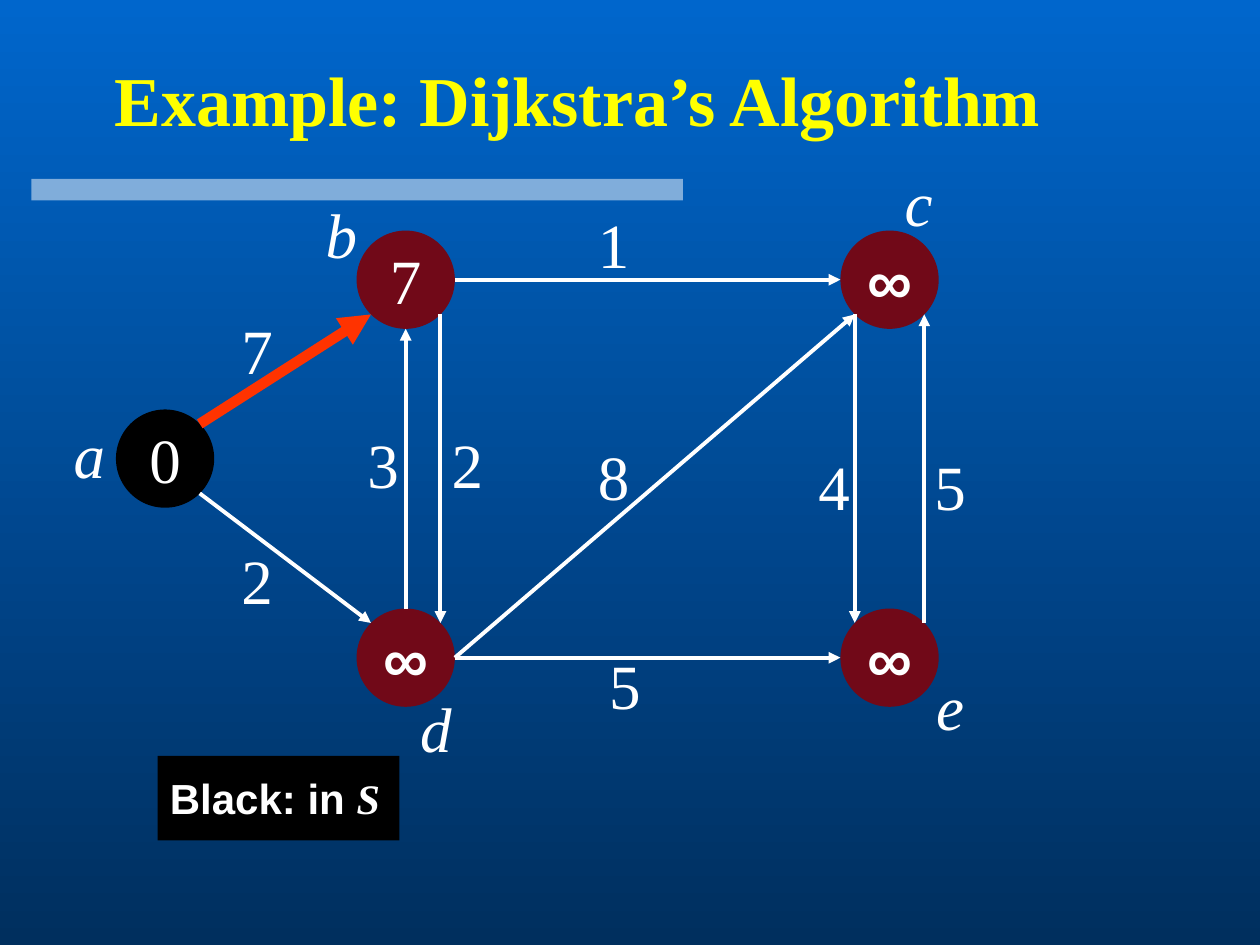
from dataclasses import dataclass
from math import cos, radians, sin

from lxml import etree
from pptx import Presentation
from pptx.dml.color import RGBColor
from pptx.enum.shapes import MSO_CONNECTOR, MSO_SHAPE
from pptx.enum.text import MSO_ANCHOR, PP_ALIGN
from pptx.oxml import parse_xml
from pptx.oxml.ns import nsdecls, qn
from pptx.util import Inches, Pt

SKY = RGBColor(0x00, 0x66, 0xCC)
NAVY = RGBColor(0x00, 0x2F, 0x5E)
WHITE = RGBColor(0xFF, 0xFF, 0xFF)
BLACK = RGBColor(0x00, 0x00, 0x00)
YELLOW = RGBColor(0xFF, 0xFF, 0x00)
MAROON = RGBColor(0x71, 0x09, 0x18)
RED = RGBColor(0xFF, 0x33, 0x00)
SERIF, SANS = "Times New Roman", "Arial"

DIAMETER = 0.78
ANGLES = {"E": 0, "SE": 45, "S": 90, "SW": 135, "W": 180, "NW": 225, "N": 270, "NE": 315}


@dataclass
class Node:
    x: float
    y: float
    value: str
    name_x: float
    name_y: float
    fill: RGBColor = MAROON

    def port(self, side: str) -> tuple[float, float]:
        """Point on the circle in a compass direction."""
        angle, radius = radians(ANGLES[side]), DIAMETER / 2
        return self.x + radius * (1 + cos(angle)), self.y + radius * (1 + sin(angle))


@dataclass
class Edge:
    start: str
    start_side: str
    end: str
    end_side: str
    weight: str
    weight_x: float
    weight_y: float
    color: RGBColor = WHITE
    width: float = 2.25


NODES = {
    "a": Node(0.92, 3.25, "0", 0.42, 3.25, BLACK),
    "d": Node(2.83, 4.83, "∞", 3.17, 5.42),
    "c": Node(6.67, 1.83, "∞", 7, 1.25),
    "b": Node(2.83, 1.83, "7", 2.42, 1.5),
    "e": Node(6.67, 4.83, "∞", 7.25, 5.25),
}
EDGES = [
    Edge("a", "NE", "b", "SW", "7", 1.75, 2.42, RED, 6),
    Edge("a", "SE", "d", "NW", "2", 1.75, 4.25),
    Edge("b", "SE", "d", "NE", "2", 3.42, 3.33),
    Edge("d", "N", "b", "S", "3", 2.75, 3.33),
    Edge("b", "E", "c", "W", "1", 4.58, 1.58),
    Edge("d", "E", "e", "W", "5", 4.67, 5.08),
    Edge("c", "SW", "e", "NW", "4", 6.33, 3.5),
    Edge("e", "NE", "c", "SE", "5", 7.25, 3.5),
    Edge("d", "E", "c", "SW", "8", 4.58, 3.42),
]


def add_text(sp, text: str, *, size=36, font=SERIF, color=WHITE, bold=False,
             italic=False, align=PP_ALIGN.CENTER, anchor=MSO_ANCHOR.MIDDLE, wrap=True):
    """Append a run to the first paragraph of a shape."""
    tf = sp.text_frame
    tf.word_wrap, tf.vertical_anchor = wrap, anchor
    p = tf.paragraphs[0]
    p.alignment = align
    r = p.add_run()
    r.text = text
    r.font.name, r.font.size = font, Pt(size)
    r.font.bold, r.font.italic = bold, italic
    r.font.color.rgb = color


def add_box(s, kind, x: float, y: float, w: float, h: float, fill: RGBColor):
    sp = s.shapes.add_shape(kind, Inches(x), Inches(y), Inches(w), Inches(h))
    sp.shadow.inherit = False
    sp.fill.solid()
    sp.fill.fore_color.rgb = fill
    sp.line.fill.background()
    return sp


def add_label(s, text: str, x: float, y: float, italic: bool = False) -> None:
    sp = s.shapes.add_textbox(Inches(x), Inches(y), Inches(0.58), Inches(0.7))
    add_text(sp, text, italic=italic, anchor=MSO_ANCHOR.TOP)


def add_node(s, node: Node) -> None:
    sp = add_box(s, MSO_SHAPE.OVAL, node.x, node.y, DIAMETER, DIAMETER, node.fill)
    infinite = node.value == "∞"
    add_text(sp, node.value, font=SANS if infinite else SERIF, bold=infinite, wrap=False)


def add_edge(s, edge: Edge) -> None:
    start = NODES[edge.start].port(edge.start_side)
    end = NODES[edge.end].port(edge.end_side)
    line = s.shapes.add_connector(MSO_CONNECTOR.STRAIGHT, *map(Inches, start + end))
    line.line.color.rgb = edge.color
    line.line.width = Pt(edge.width)
    ln = line.line._get_or_add_ln()
    ln.append(parse_xml(f'<a:tailEnd {nsdecls("a")} type="triangle"/>'))
    etree.SubElement(line._element.spPr, qn("a:effectLst"))


def main() -> None:
    prs = Presentation()
    prs.slide_width, prs.slide_height = Inches(10), Inches(7.5)
    s = prs.slides.add_slide(prs.slide_layouts[6])

    # Background, from light at the top to dark at the bottom
    bg = s.background.fill
    bg.gradient()
    bg.gradient_angle = 270
    for stop, color, position in zip(bg.gradient_stops, (SKY, NAVY), (0, 1)):
        stop.color.rgb, stop.position = color, position

    # Half-transparent rule and title
    rule = add_box(s, MSO_SHAPE.RECTANGLE, 0.25, 1.42, 5.17, 0.17, WHITE)
    rgb = rule._element.spPr.find(qn("a:solidFill")).find(qn("a:srgbClr"))
    etree.SubElement(rgb, qn("a:alpha")).set("val", "50000")
    title = s.shapes.add_textbox(Inches(0.42), Inches(0.32), Inches(8.33), Inches(0.93))
    add_text(title, "Example: Dijkstra’s Algorithm", size=40, color=YELLOW, bold=True)

    # Graph
    for node in NODES.values():
        add_node(s, node)
    for edge in EDGES:
        add_edge(s, edge)
    for edge in EDGES:
        add_label(s, edge.weight, edge.weight_x, edge.weight_y)
    for name, node in NODES.items():
        add_label(s, name, node.name_x, node.name_y, italic=True)

    # Legend
    legend = add_box(s, MSO_SHAPE.RECTANGLE, 1.25, 6, 1.92, 0.67, BLACK)
    style = dict(size=24, bold=True, align=PP_ALIGN.LEFT, wrap=False)
    add_text(legend, "Black: in ", font=SANS, **style)
    add_text(legend, "S", italic=True, **style)

    prs.save("out.pptx")


if __name__ == "__main__":
    main()
